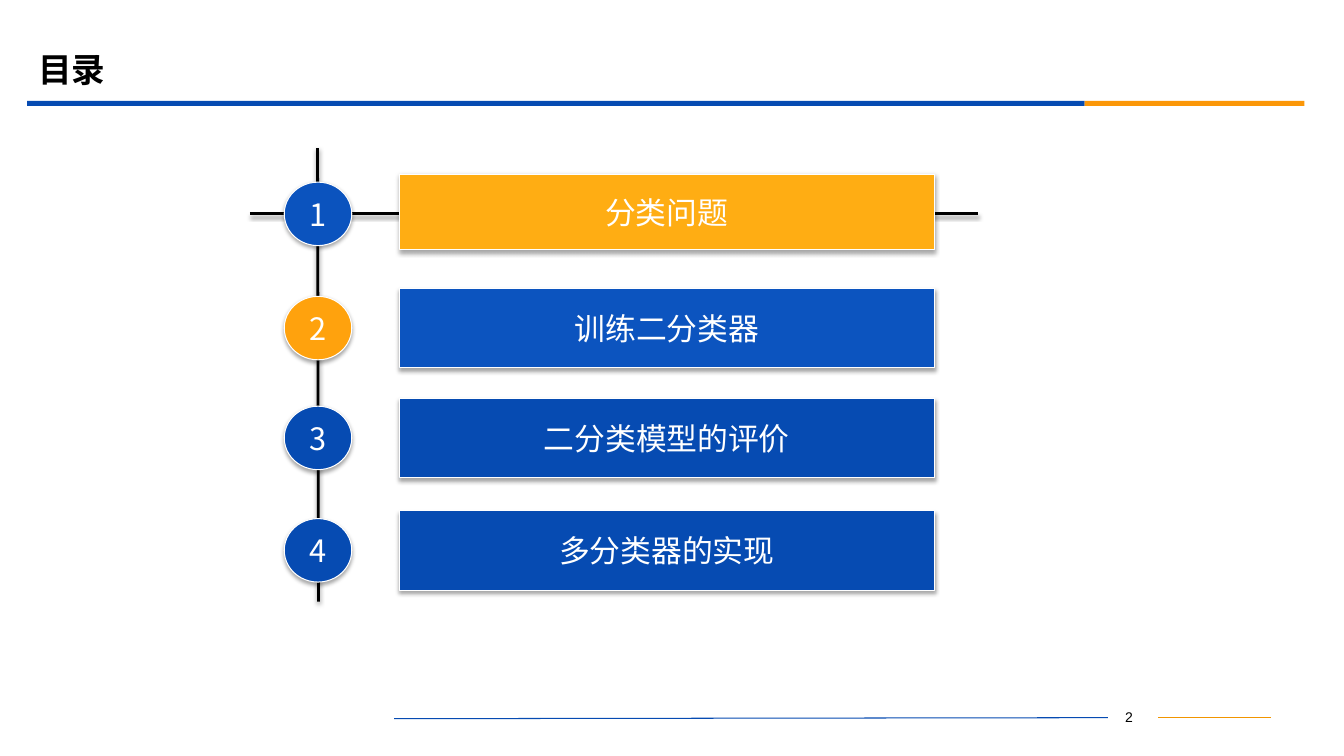
from dataclasses import dataclass

from lxml.etree import SubElement
from pptx import Presentation
from pptx.dml.color import RGBColor
from pptx.enum.shapes import MSO_CONNECTOR as Connector, MSO_SHAPE as Shape
from pptx.enum.text import MSO_ANCHOR as Anchor, PP_ALIGN as Align
from pptx.oxml.ns import qn
from pptx.util import Inches, Pt


@dataclass(frozen=True)
class Theme:
    blue: str = "064BB2"
    light_blue: str = "0B53BE"
    bar_blue: str = "0C54BF"
    orange: str = "FB9708"
    bar_orange: str = "FFAD13"
    disc_orange: str = "FFA20D"
    line_orange: str = "F19500"
    black: str = "000000"
    white: str = "FFFFFF"
    title_font: str = "Montserrat"
    body_font: str = "Noto Sans CJK SC"
    number_font: str = "Arial"
    title_size: int = 24
    body_size: int = 22
    number_size: int = 10
    thin: float = 0.75
    thick: float = 2


THEME = Theme()

# The grid has ten columns and ten rows to the inch
COLUMNS, ROWS = 133.33, 75
CELL = Inches(0.1)

# Agenda layout in grid cells
DISC_LEFT, DISC_WIDTH, DISC_HEIGHT = 28.2, 6.7, 6.3
BAR_LEFT, BAR_WIDTH, BAR_HEIGHT, FIRST_BAR_HEIGHT = 39.6, 53.1, 7.9, 7.5

# Row centre, bar height, wording, disc colour, bar colour
AGENDA = [
    (21.22, FIRST_BAR_HEIGHT, "分类问题", THEME.light_blue, THEME.bar_orange),
    (32.55, BAR_HEIGHT, "训练二分类器", THEME.disc_orange, THEME.bar_blue),
    (43.45, BAR_HEIGHT, "二分类模型的评价", THEME.blue, THEME.blue),
    (54.6, BAR_HEIGHT, "多分类器的实现", THEME.blue, THEME.blue),
]


def cells(*counts):
    return [round(count * CELL) for count in counts]


def color(value):
    return RGBColor.from_string(value)


def set_effects(element, shadow_alpha=None, distance=1.8):
    """Clear the inherited effects; add a downward shadow if asked."""
    effects = SubElement(element.spPr, qn("a:effectLst"))
    if shadow_alpha:
        shadow = SubElement(effects, qn("a:outerShdw"), blurRad=str(Pt(3.1)),
                            dist=str(Pt(distance)), dir="5400000", rotWithShape="0")
        tone = SubElement(shadow, qn("a:srgbClr"), val=THEME.black)
        SubElement(tone, qn("a:alpha"), val=str(shadow_alpha * 1000))


def write(shape, text, font, size, tint, align=Align.CENTER, bold=False):
    frame = shape.text_frame
    frame.text = text
    para = frame.paragraphs[0]
    para.alignment = align
    span = para.runs[0]
    span.font.name, span.font.size, span.font.bold = font, Pt(size), bold
    span.font.color.rgb = color(tint)
    # Chinese characters take the East Asian typeface
    SubElement(span.font._element, qn("a:ea"), typeface=THEME.body_font)


def add_text(page, area, text, font, size, **style):
    box = page.shapes.add_textbox(*cells(*area))
    box.text_frame.word_wrap = True
    box.text_frame.vertical_anchor = Anchor.MIDDLE
    write(box, text, font, size, THEME.black, **style)


def add_rule(page, start, end, tint, width, shadow_alpha=None):
    rule = page.shapes.add_connector(Connector.STRAIGHT, *cells(*start, *end))
    rule.line.color.rgb = color(tint)
    rule.line.width = Pt(width)
    set_effects(rule._element, shadow_alpha, distance=1.6)


def add_band(page, area, fill):
    band = page.shapes.add_shape(Shape.RECTANGLE, *cells(*area))
    band.shadow.inherit = False
    band.fill.solid()
    band.fill.fore_color.rgb = color(fill)
    band.line.fill.background()


def add_label(page, kind, area, text, fill):
    label = page.shapes.add_shape(kind, *cells(*area))
    label.fill.solid()
    label.fill.fore_color.rgb = color(fill)
    label.line.color.rgb = color(THEME.white)
    label.line.width = Pt(THEME.thin)
    set_effects(label._element, shadow_alpha=35)
    label.text_frame.word_wrap = False
    label.text_frame.vertical_anchor = Anchor.MIDDLE
    write(label, text, THEME.body_font, THEME.body_size, THEME.white)


def add_agenda(page):
    # Crossing axes behind the labels
    add_rule(page, (31.5, 14.7), (31.6, 59.7), THEME.black, THEME.thick, 38)
    add_rule(page, (24.8, 21.2), (97, 21.2), THEME.black, THEME.thick, 38)

    # One numbered disc and one bar to a row
    for number, (centre, height, text, disc_fill, bar_fill) in enumerate(AGENDA, 1):
        bar_area = (BAR_LEFT, centre - BAR_HEIGHT / 2, BAR_WIDTH, height)
        disc_area = (DISC_LEFT, centre - DISC_HEIGHT / 2, DISC_WIDTH, DISC_HEIGHT)
        add_label(page, Shape.ACTION_BUTTON_CUSTOM, bar_area, text, bar_fill)
        add_label(page, Shape.OVAL, disc_area, str(number), disc_fill)


def main():
    deck = Presentation()
    deck.slide_width, deck.slide_height = cells(COLUMNS, ROWS)
    page = deck.slides.add_slide(deck.slide_layouts[6])

    # Header
    add_text(page, (2.8, 3.9, 120, 5.8), "目录", THEME.title_font, THEME.title_size,
             align=Align.LEFT, bold=True)
    add_band(page, (2.7, 10, 104.9, 0.5), THEME.blue)
    add_band(page, (107.6, 10, 21.8, 0.5), THEME.orange)

    add_agenda(page)

    # Footer
    add_rule(page, (39.1, 71.3), (109.9, 71.2), THEME.blue, THEME.thin)
    add_rule(page, (114.9, 71.2), (126.1, 71.2), THEME.line_orange, THEME.thin)
    add_text(page, (108.7, 69.9, 6.2, 2.5), " 2", THEME.number_font, THEME.number_size)

    deck.save("out.pptx")


if __name__ == "__main__":
    main()
